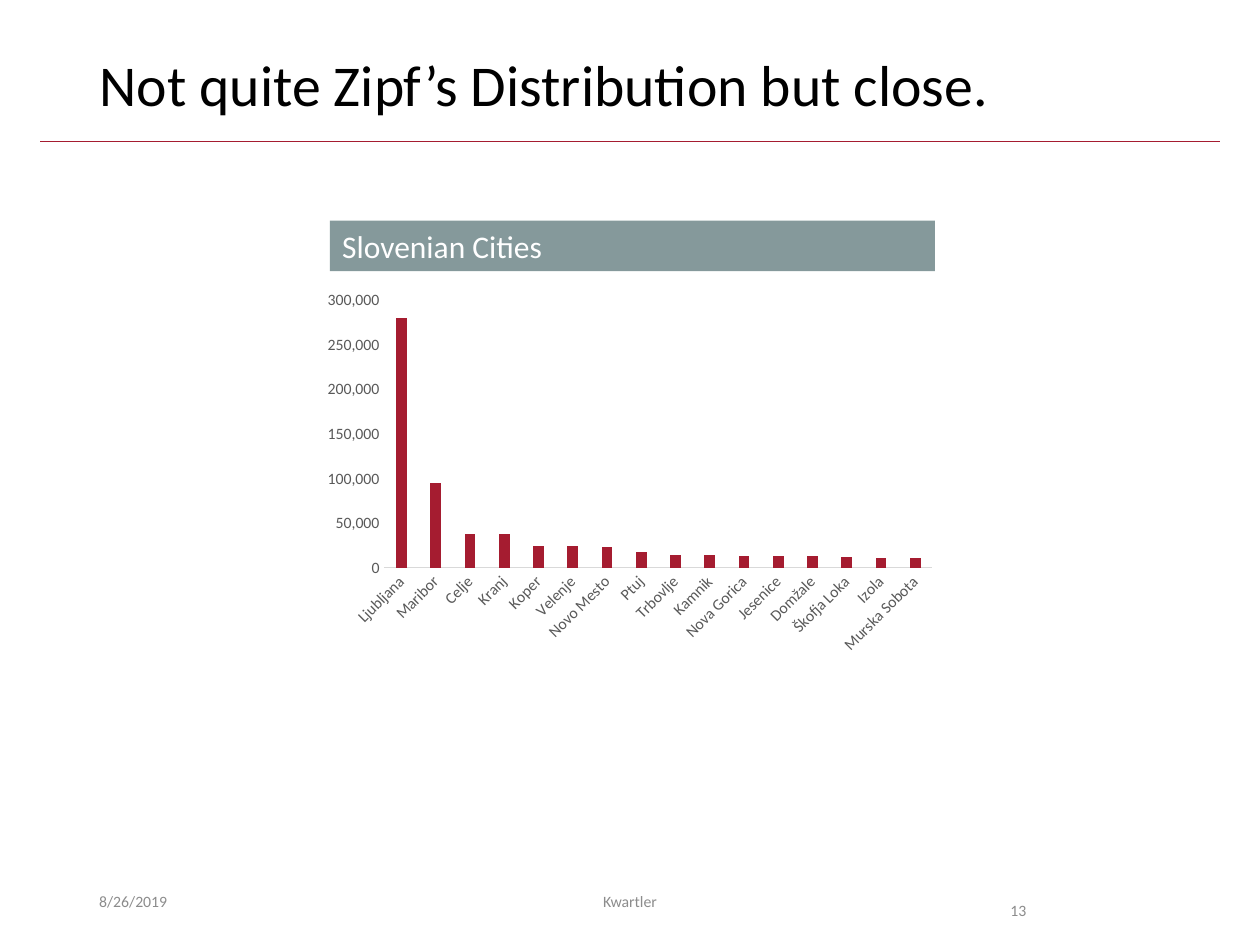
from lxml import etree
from pptx import Presentation
from pptx.chart.data import CategoryChartData
from pptx.dml.color import RGBColor
from pptx.enum.chart import XL_CHART_TYPE, XL_TICK_MARK
from pptx.enum.shapes import MSO_CONNECTOR, MSO_SHAPE
from pptx.enum.text import MSO_ANCHOR, PP_ALIGN
from pptx.oxml.ns import qn
from pptx.util import Cm, Pt

COLUMN = XL_CHART_TYPE.COLUMN_CLUSTERED
NO_TICK = XL_TICK_MARK.NONE
STRAIGHT = MSO_CONNECTOR.STRAIGHT
RECT = MSO_SHAPE.RECTANGLE
TOP, MIDDLE = MSO_ANCHOR.TOP, MSO_ANCHOR.MIDDLE
LEFT, CENTER = PP_ALIGN.LEFT, PP_ALIGN.CENTER

FONT = "Calibri"
BLACK = RGBColor(0x00, 0x00, 0x00)
WHITE = RGBColor(0xFF, 0xFF, 0xFF)
RED = RGBColor(0xA5, 0x1C, 0x30)
SLATE = RGBColor(0x85, 0x99, 0x9B)
GREY = RGBColor(0x8C, 0x8C, 0x8C)
DARK = RGBColor(0x59, 0x59, 0x59)
PALE = RGBColor(0xD9, 0xD9, 0xD9)

CITIES = {
    "Ljubljana": 280000, "Maribor": 95000, "Celje": 38000, "Kranj": 38000,
    "Koper": 25000, "Velenje": 25000, "Novo Mesto": 23000, "Ptuj": 18000,
    "Trbovlje": 14000, "Kamnik": 14000, "Nova Gorica": 13000,
    "Jesenice": 13000, "Domžale": 13000, "Škofja Loka": 12000,
    "Izola": 11000, "Murska Sobota": 11000,
}


def style(font, size, color):
    font.name, font.size = FONT, Pt(size)
    font.color.rgb = color


def write(shape, text, size, color, align=LEFT, anchor=TOP, space=1.0):
    """Fill a shape with one formatted paragraph."""
    frame = shape.text_frame
    frame.word_wrap = True
    frame.vertical_anchor = anchor
    para = frame.paragraphs[0]
    para.alignment, para.line_spacing = align, space
    run = para.add_run()
    run.text = text
    style(run.font, size, color)


prs = Presentation()
prs.slide_width, prs.slide_height = Cm(25.4), Cm(19.05)
slide = prs.slides.add_slide(prs.slide_layouts[5])
shapes = slide.shapes

# Title and rule
title = shapes.title
title.left, title.top = Cm(1.75), Cm(1.02)
title.width, title.height = Cm(21.9), Cm(1.65)
write(title, "Not quite Zipf’s Distribution but close.", 33, BLACK, space=0.9)

rule = shapes.add_connector(STRAIGHT, Cm(0.81), Cm(2.85), Cm(24.59), Cm(2.85))
rule.line.color.rgb = RED
rule.line.width = Pt(0.5)
etree.SubElement(rule._element.spPr, qn("a:effectLst"))

# Footer
for text, left, width, align, anchor, space in (
    ("8/26/2019", 1.75, 5.72, LEFT, MIDDLE, 1.0),
    ("Kwartler", 8.41, 8.58, CENTER, MIDDLE, 1.0),
    ("13", 20.12, 2.39, LEFT, TOP, 2.0),
):
    box = shapes.add_textbox(Cm(left), Cm(17.65), Cm(width), Cm(1.02))
    write(box, text, 9, GREY, align, anchor, space)

# City chart
data = CategoryChartData(number_format="#,##0")
data.categories = list(CITIES)
data.add_series("Series 1", list(CITIES.values()))
chart = shapes.add_chart(
    COLUMN, Cm(6.35), Cm(5.72), Cm(12.7), Cm(7.62), data).chart
chart.has_legend = chart.has_title = False
style(chart.font, 10, BLACK)

plot = chart.plots[0]
plot.gap_width, plot.overlap = 219, -27
plot.vary_by_categories = False
fill = plot.series[0].format.fill
fill.solid()
fill.fore_color.rgb = RED

names, counts = chart.category_axis, chart.value_axis
for axis in (names, counts):
    axis.major_tick_mark = axis.minor_tick_mark = NO_TICK
    axis.has_major_gridlines = False
    style(axis.tick_labels.font, 9, DARK)
names.format.line.color.rgb = PALE
names.format.line.width = Pt(0.75)
names._element.find(qn("c:txPr")).find(qn("a:bodyPr")).set("rot", "-2700000")
counts.format.line.fill.background()
counts.minimum_scale, counts.maximum_scale = 0, 300000
counts.major_unit = 50000
counts.tick_labels.number_format = "#,##0"
counts.tick_labels.number_format_is_linked = False

# Chart heading
head = shapes.add_shape(RECT, Cm(6.65), Cm(4.45), Cm(12.2), Cm(1.02))
head.shadow.inherit = False
head.fill.solid()
head.fill.fore_color.rgb = SLATE
head.line.fill.background()
write(head, "Slovenian Cities", 18, WHITE)

prs.save("out.pptx")
